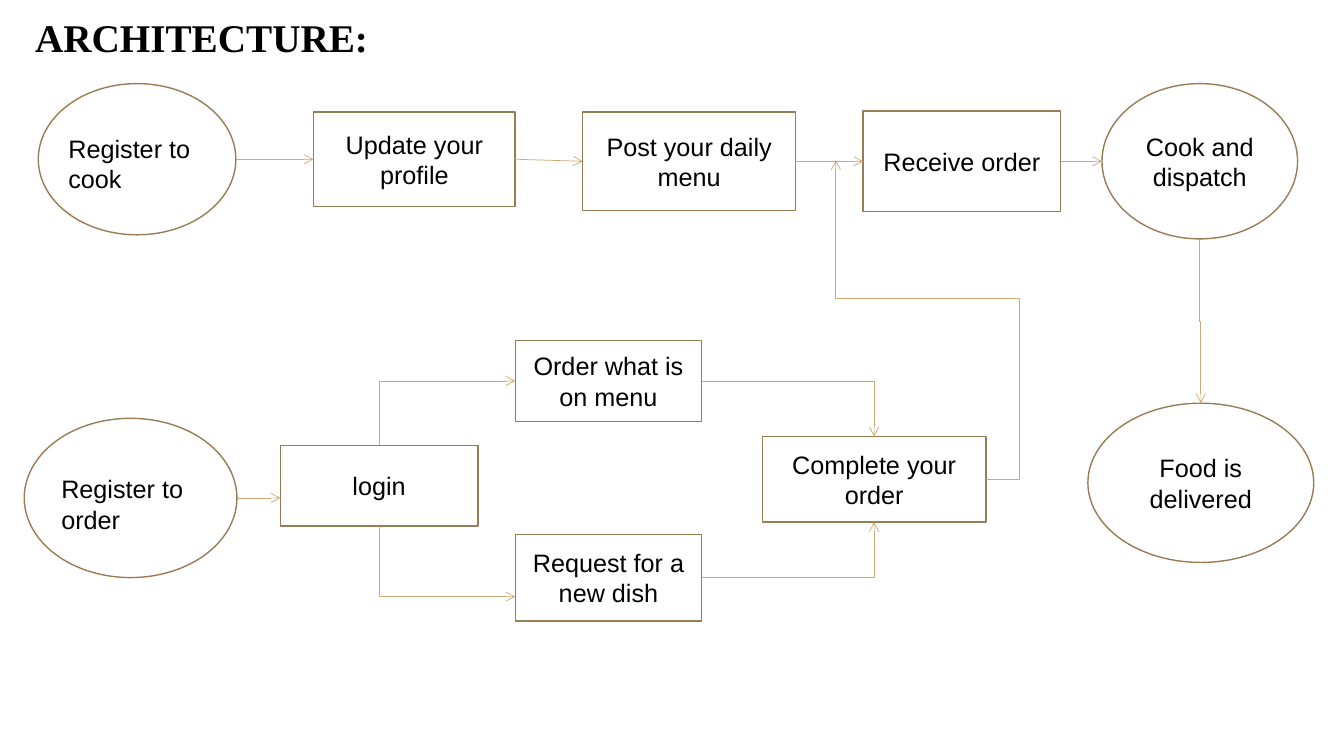
from dataclasses import dataclass
from typing import NamedTuple

import lxml.etree
import pptx
import pptx.dml.color
import pptx.enum.shapes
import pptx.enum.text
import pptx.oxml.ns
import pptx.util

PX = 9144  # EMU in one px, 100 px to the inch
RECT = pptx.enum.shapes.MSO_SHAPE.RECTANGLE
OVAL = pptx.enum.shapes.MSO_SHAPE.OVAL
TOP, LEFT, BOTTOM, RIGHT = (0.5, 0), (0, 0.5), (0.5, 1), (1, 0.5)
SITES = {TOP: 0, LEFT: 1, BOTTOM: 2, RIGHT: 3}


@dataclass(frozen=True)
class Theme:
    paper: str = "FFFFFF"
    ink: str = "000000"
    outline: str = "987C56"
    arrow: str = "CDA874"
    body_font: str = "Arial"
    title_font: str = "Times New Roman"
    body_size: int = 18
    title_size: int = 28
    outline_width: float = 1
    arrow_width: float = 0.5


THEME = Theme()


class Box(NamedTuple):
    left: int
    top: int
    width: int
    height: int

    def inner(self, left, top, width, height):
        return Box(self.left + left, self.top + top, width, height)

    def emu(self):
        return [length * PX for length in self]


def rgb(value):
    return pptx.dml.color.RGBColor.from_string(value)


def write(frame, words, font=THEME.body_font, size=THEME.body_size, bold=False):
    frame.word_wrap = True
    run = frame.paragraphs[0].add_run()
    run.text = words
    run.font.name = font
    run.font.size = pptx.util.Pt(size)
    run.font.bold = bold
    run.font.color.rgb = rgb(THEME.ink)


def add_step(slide, outline, box, words=None):
    step = slide.shapes.add_shape(outline, *box.emu())
    step.shadow.inherit = False
    step.fill.solid()
    step.fill.fore_color.rgb = rgb(THEME.paper)
    step.line.color.rgb = rgb(THEME.outline)
    step.line.width = pptx.util.Pt(THEME.outline_width)
    if words:
        frame = step.text_frame
        frame.vertical_anchor = pptx.enum.text.MSO_ANCHOR.MIDDLE
        frame.paragraphs[0].alignment = pptx.enum.text.PP_ALIGN.CENTER
        write(frame, words)
    return step


def add_label(slide, box, words, **style):
    label = slide.shapes.add_textbox(*box.emu())
    write(label.text_frame, words, **style)
    label.text_frame.auto_size = pptx.enum.text.MSO_AUTO_SIZE.SHAPE_TO_FIT_TEXT


def spot(step, share):
    """Point at the given shares of a step's width and height."""
    across, down = share
    return (round(step.left + across * step.width),
            round(step.top + down * step.height))


def add_arrow(slide, kind, start, end):
    arrow = slide.shapes.add_connector(kind, *start, *end)
    arrow.line.color.rgb = rgb(THEME.arrow)
    arrow.line.width = pptx.util.Pt(THEME.arrow_width)
    qn = pptx.oxml.ns.qn
    lxml.etree.SubElement(arrow.line._get_or_add_ln(), qn("a:tailEnd"), type="arrow")
    lxml.etree.SubElement(arrow._element.spPr, qn("a:effectLst"))
    return arrow


def link(slide, source, target, leave=RIGHT, enter=LEFT):
    """Straight arrow, joined wherever it meets the middle of a rectangle's side."""
    arrow = add_arrow(slide, pptx.enum.shapes.MSO_CONNECTOR.STRAIGHT,
                      spot(source, leave), spot(target, enter))
    if source.auto_shape_type == RECT and leave in SITES:
        arrow.begin_connect(source, SITES[leave])
    if target.auto_shape_type == RECT and enter in SITES:
        arrow.end_connect(target, SITES[enter])


def bend(slide, start, end, segments=2, vertical_first=False, adjust=()):
    """Elbow arrow; one that leaves vertically is laid flat, then turned by 90 degrees."""
    if vertical_first:
        middle_x, middle_y = (start[0] + end[0]) // 2, (start[1] + end[1]) // 2
        half_x, half_y = (end[0] - start[0]) // 2, (end[1] - start[1]) // 2
        start = middle_x - half_y, middle_y + half_x
        end = middle_x + half_y, middle_y - half_x
    arrow = add_arrow(slide, pptx.enum.shapes.MSO_CONNECTOR.ELBOW, start, end)
    properties = arrow._element.spPr
    if vertical_first:
        properties.find(pptx.oxml.ns.qn("a:xfrm")).set("rot", "5400000")
    geometry = properties.find(pptx.oxml.ns.qn("a:prstGeom"))
    geometry.set("prst", f"bentConnector{segments}")
    guides = geometry.find(pptx.oxml.ns.qn("a:avLst"))
    for number, value in enumerate(adjust, 1):
        lxml.etree.SubElement(guides, pptx.oxml.ns.qn("a:gd"),
                              name=f"adj{number}", fmla=f"val {value}")


def add_title(slide, box):
    add_label(slide, box, "ARCHITECTURE:", font=THEME.title_font,
              size=THEME.title_size, bold=True)


def add_cook_lane(slide, box):
    """Return the dispatch step and the point where incoming orders join."""
    register = add_step(slide, OVAL, box.inner(0, 0, 196, 150))
    add_label(slide, box.inner(20, 44, 156, 71), "Register to cook")
    profile = add_step(slide, RECT, box.inner(273, 28, 200, 94), "Update your profile")
    menu = add_step(slide, RECT, box.inner(540, 28, 211, 98), "Post your daily menu")
    receive = add_step(slide, RECT, box.inner(818, 27, 196, 100), "Receive order")
    dispatch = add_step(slide, OVAL, box.inner(1055, 0, 194, 154), "Cook and dispatch")
    steps = [register, profile, menu, receive, dispatch]
    for source, target in zip(steps, steps[1:]):
        link(slide, source, target)
    return dispatch, ((box.left + 791) * PX, (box.top + 76) * PX)


def add_order_lane(slide, box):
    """Return the step that completes an order."""
    register = add_step(slide, OVAL, box.inner(0, 77, 211, 158))
    add_label(slide, box.inner(27, 127, 153, 71), "Register to order")
    login = add_step(slide, RECT, box.inner(254, 104, 196, 80), "login")
    choose = add_step(slide, RECT, box.inner(487, 0, 185, 80), "Order what is on menu")
    request = add_step(slide, RECT, box.inner(487, 192, 185, 86), "Request for a new dish")
    complete = add_step(slide, RECT, box.inner(732, 95, 222, 85), "Complete your order")
    link(slide, register, login, enter=(0, 0.65))
    for dish, leave, entry, enter in ((choose, TOP, LEFT, TOP),
                                      (request, BOTTOM, (0, 0.72), BOTTOM)):
        bend(slide, spot(login, leave), spot(dish, entry), vertical_first=True)
        bend(slide, spot(dish, RIGHT), spot(complete, enter))
    return complete


def add_delivery(slide, box, dispatch):
    delivered = add_step(slide, OVAL, box, "Food is delivered")
    bend(slide, spot(dispatch, BOTTOM), spot(delivered, TOP), segments=3,
         vertical_first=True)


def main():
    deck = pptx.Presentation()
    deck.slide_width, deck.slide_height = 1333 * PX, 750 * PX
    slide = deck.slides.add_slide(deck.slide_layouts[6])
    dispatch, order_entry = add_cook_lane(slide, Box(38, 83, 1249, 154))
    complete = add_order_lane(slide, Box(24, 338, 954, 278))
    bend(slide, spot(complete, RIGHT), order_entry, segments=4,
         adjust=(-22500, 56700))
    add_delivery(slide, Box(1079, 400, 224, 158), dispatch)
    add_title(slide, Box(25, 8, 520, 57))
    deck.save("out.pptx")


if __name__ == "__main__":
    main()
